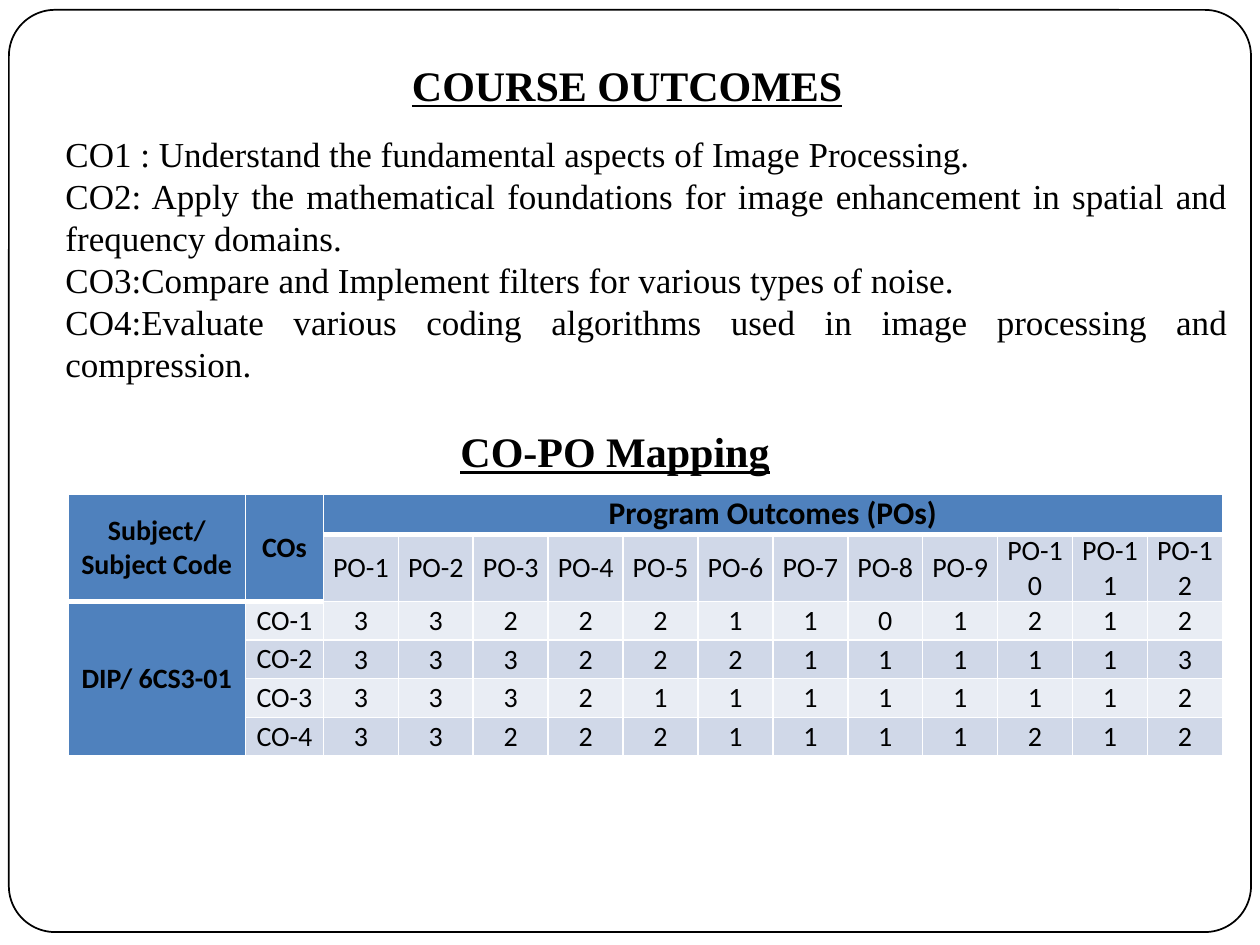
from dataclasses import dataclass

from lxml.etree import SubElement
from pptx import Presentation
from pptx.dml.color import RGBColor
from pptx.enum.shapes import MSO_SHAPE
from pptx.enum.text import MSO_ANCHOR, MSO_AUTO_SIZE, PP_ALIGN
from pptx.oxml.ns import qn
from pptx.util import Cm, Pt

BLACK, WHITE = "000000", "FFFFFF"
HEADER_BLUE, BAND_DARK, BAND_LIGHT = "4F81BD", "D0D8E8", "E9EDF4"
SERIF, SANS = "Times New Roman", "Calibri"

OUTCOMES = [
    "CO1 : Understand the fundamental aspects of Image Processing.",
    "CO2: Apply the mathematical foundations for image enhancement in spatial and frequency domains.",
    "CO3:Compare and Implement filters for various types of noise.",
    "CO4:Evaluate various coding algorithms used in image processing and compression.",
]
SCORES = [
    [3, 3, 2, 2, 2, 1, 1, 0, 1, 2, 1, 2],
    [3, 3, 3, 2, 2, 2, 1, 1, 1, 1, 1, 3],
    [3, 3, 3, 2, 1, 1, 1, 1, 1, 1, 1, 2],
    [3, 3, 2, 2, 2, 1, 1, 1, 1, 2, 1, 2],
]
COLUMN_WIDTHS = [3.58, 1.57] + [1.51] * 12
ROW_HEIGHTS = [0.81, 1.22] + [0.69] * 4


@dataclass
class Box:
    left: float
    top: float
    width: float
    height: float

    def lengths(self) -> tuple:
        return Cm(self.left), Cm(self.top), Cm(self.width), Cm(self.height)


@dataclass
class TextStyle:
    size: int
    font: str = SANS
    bold: bool = False
    underline: bool = False
    align: PP_ALIGN = PP_ALIGN.CENTER


@dataclass
class Entry:
    row: int
    column: int
    text: str
    fill: str
    style: TextStyle
    last_row: int = 0
    last_column: int = 0
    is_score: bool = False


HEADING = TextStyle(24, SERIF, bold=True, underline=True)
BODY = TextStyle(20, SERIF, align=PP_ALIGN.JUSTIFY)
HEADER, TOP_HEADER, PLAIN = TextStyle(16, bold=True), TextStyle(18, bold=True), TextStyle(16)


def color(value: str) -> RGBColor:
    return RGBColor.from_string(value)


def write(frame, lines: list[str], style: TextStyle) -> None:
    frame.text = "\n".join(lines)
    for paragraph in frame.paragraphs:
        paragraph.alignment = style.align
        paragraph.font.size = Pt(style.size)
        paragraph.font.name = style.font
        paragraph.font.bold = style.bold
        paragraph.font.underline = style.underline
        paragraph.font.color.rgb = color(BLACK)


def add_frame(slide) -> None:
    border = slide.shapes.add_shape(MSO_SHAPE.ROUNDED_RECTANGLE, *Box(0.18, 0.2, 25.04, 18.59).lengths())
    border.adjustments[0] = 0.05
    border.shadow.inherit = False
    border.fill.background()
    border.line.color.rgb = color(BLACK)
    border.line.width = Pt(1)


def set_title(slide, text: str) -> None:
    title = slide.shapes.title
    title.left, title.top, title.width, title.height = Box(8.05, 1.07, 9.27, 1.27).lengths()
    frame = title.text_frame
    frame.word_wrap = False
    frame.auto_size = MSO_AUTO_SIZE.NONE
    frame.vertical_anchor = MSO_ANCHOR.TOP
    write(frame, [text], HEADING)
    frame.paragraphs[0].alignment = PP_ALIGN.LEFT


def add_text(slide, box: Box, lines: list[str], style: TextStyle) -> None:
    frame = slide.shapes.add_textbox(*box.lengths()).text_frame
    frame.word_wrap = True
    write(frame, lines, style)


def draw_borders(cell, row: int, column: int) -> None:
    header_rows = 2 if column < 2 else 1
    widths = {
        "a:lnL": 1,
        "a:lnR": 1,
        "a:lnT": 3 if row == header_rows else 1,
        "a:lnB": 3 if row < header_rows else 1,
    }
    properties = cell._tc.get_or_add_tcPr()
    for tag, width in widths.items():
        edge = SubElement(properties, qn(tag), w=str(Pt(width)))
        fill = SubElement(edge, qn("a:solidFill"))
        SubElement(fill, qn("a:srgbClr"), val=WHITE)


def mapping_entries() -> list[Entry]:
    entries = [
        Entry(0, 0, "Subject/\nSubject Code", HEADER_BLUE, HEADER, last_row=1),
        Entry(0, 1, "COs", HEADER_BLUE, HEADER, last_row=1),
        Entry(0, 2, "Program Outcomes (POs)", HEADER_BLUE, TOP_HEADER, last_column=13),
        Entry(2, 0, "DIP/ 6CS3-01", HEADER_BLUE, HEADER, last_row=5),
    ]
    entries += [Entry(1, 1 + po, f"PO-{po}", BAND_DARK, PLAIN) for po in range(1, 13)]
    for co, scores in enumerate(SCORES, start=1):
        band = BAND_LIGHT if co % 2 else BAND_DARK
        entries.append(Entry(1 + co, 1, f"CO-{co}", band, PLAIN))
        entries += [
            Entry(1 + co, column, str(score), band, PLAIN, is_score=True)
            for column, score in enumerate(scores, start=2)
        ]
    return entries


def fill_cell(table, entry: Entry) -> None:
    cell = table.cell(entry.row, entry.column)
    if entry.last_row or entry.last_column:
        cell.merge(table.cell(max(entry.row, entry.last_row), max(entry.column, entry.last_column)))
    side, edge = (0.08, 0.05) if entry.is_score else (0.18, 0)
    cell.margin_left = cell.margin_right = Cm(side)
    cell.margin_top = cell.margin_bottom = Cm(edge)
    cell.vertical_anchor = MSO_ANCHOR.BOTTOM if entry.is_score else MSO_ANCHOR.MIDDLE
    cell.fill.solid()
    cell.fill.fore_color.rgb = color(entry.fill)
    write(cell.text_frame, entry.text.split("\n"), entry.style)


def add_mapping_table(slide) -> None:
    box = Box(1.37, 9.96, sum(COLUMN_WIDTHS), sum(ROW_HEIGHTS))
    table = slide.shapes.add_table(len(ROW_HEIGHTS), len(COLUMN_WIDTHS), *box.lengths()).table
    for column, width in zip(table.columns, COLUMN_WIDTHS):
        column.width = Cm(width)
    for row, height in zip(table.rows, ROW_HEIGHTS):
        row.height = Cm(height)
    for row in range(len(ROW_HEIGHTS)):
        for column in range(len(COLUMN_WIDTHS)):
            draw_borders(table.cell(row, column), row, column)
    for entry in mapping_entries():
        fill_cell(table, entry)


def main() -> None:
    presentation = Presentation()
    presentation.slide_width, presentation.slide_height = Cm(25.4), Cm(19.05)
    slide = presentation.slides.add_slide(presentation.slide_layouts[5])
    add_frame(slide)
    set_title(slide, "COURSE OUTCOMES")
    add_text(slide, Box(1.07, 2.54, 23.93, 5.38), OUTCOMES, BODY)
    add_text(slide, Box(8.9, 8.46, 7, 1.27), ["CO-PO Mapping"], HEADING)
    add_mapping_table(slide)
    presentation.save("out.pptx")


if __name__ == "__main__":
    main()
